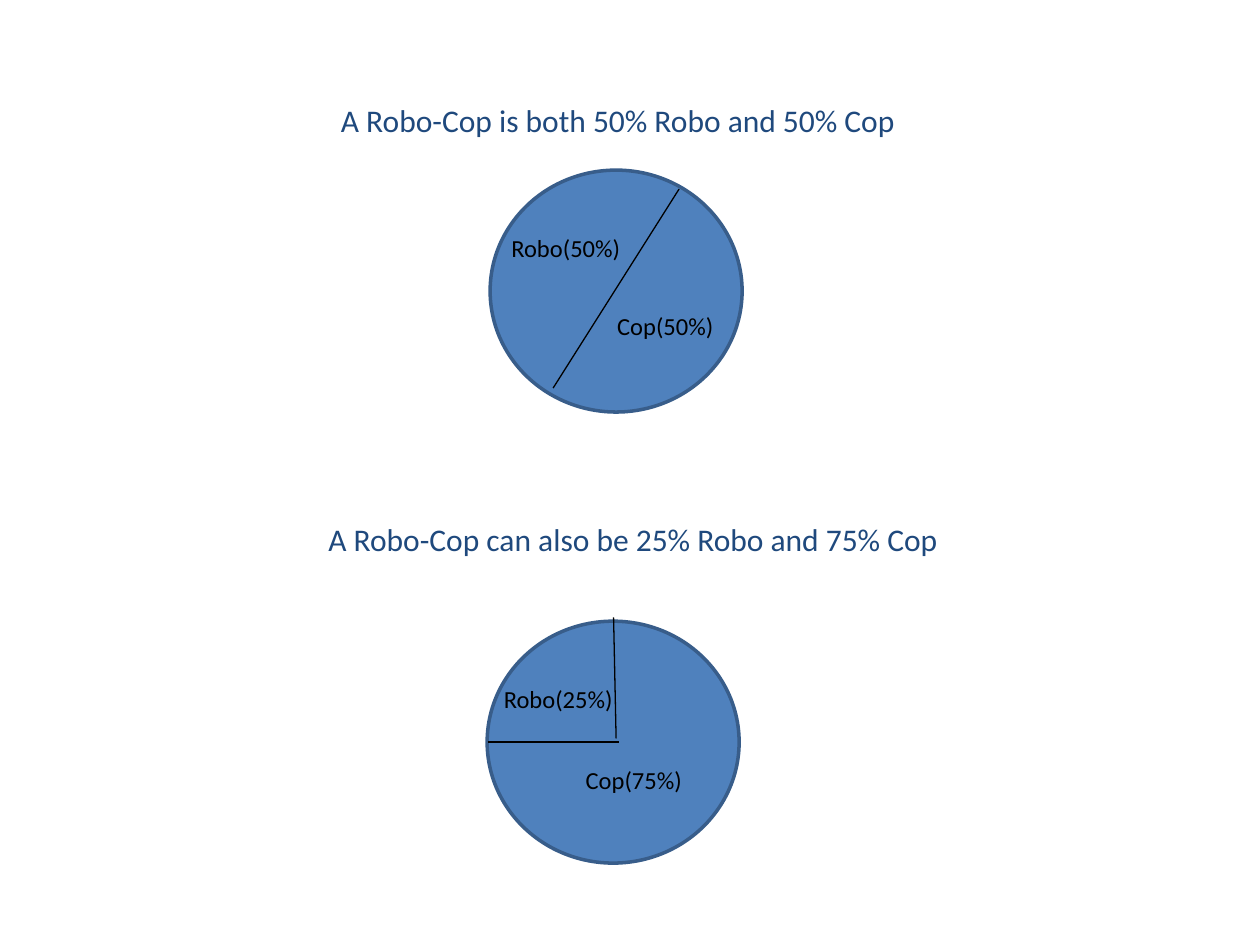
"""Build a slide showing two ways to divide a Robo-Cop into Robo and Cop."""
from dataclasses import dataclass

import pptx
import pptx.dml.color
import pptx.enum.shapes
import pptx.enum.text
import pptx.oxml.ns
import pptx.shapes.shapetree
import pptx.util
from lxml import etree

Pt = pptx.util.Pt
RGBColor = pptx.dml.color.RGBColor
Align = pptx.enum.text.PP_ALIGN

NAVY = RGBColor(0x1F, 0x49, 0x7D)
BLUE = RGBColor(0x4F, 0x81, 0xBD)
DARK_BLUE = RGBColor(0x38, 0x5D, 0x8A)
BLACK = RGBColor(0, 0, 0)
FONT = "Calibri"
PIE_WIDTH, PIE_HEIGHT = 144, 138.24
HEADING_WIDTH, HEADING_HEIGHT = 491.76, 28.8
ROBO_WIDTH, COP_WIDTH, LABEL_HEIGHT = 78, 72, 24.5


@dataclass(frozen=True)
class Label:
    text: str
    left: float
    top: float
    width: float


@dataclass(frozen=True)
class Divider:
    start: tuple[float, float]
    end: tuple[float, float]


@dataclass(frozen=True)
class Split:
    heading: str
    heading_at: tuple[float, float]
    pie_at: tuple[float, float]
    labels: tuple[Label, ...]
    dividers: tuple[Divider, ...]


SPLITS = (
    Split(
        "A Robo-Cop is both 50% Robo and 50% Cop", (107.28, 54), (280.08, 97.2),
        (Label("Robo(50%)", 285.12, 129.6, ROBO_WIDTH),
         Label("Cop(50%)", 345.6, 174.24, COP_WIDTH)),
        (Divider((388.08, 108), (316.08, 221.76)),),
    ),
    Split(
        "A Robo-Cop can also be 25% Robo and 75% Cop", (115.92, 293.76), (278.4, 354.96),
        (Label("Robo(25%)", 280.8, 387.36, ROBO_WIDTH),
         Label("Cop(75%)", 327.6, 433.44, COP_WIDTH)),
        (Divider((350.64, 352.8), (352.08, 421.92)), Divider((278.64, 424.08), (353.52, 424.08))),
    ),
)


def add_text(shapes: pptx.shapes.shapetree._BaseGroupShapes, text: str, *,
             left: float, top: float, width: float, height: float, size: float,
             color: RGBColor, align: Align = Align.LEFT, wrap: bool = False) -> None:
    box = shapes.add_textbox(Pt(left), Pt(top), Pt(width), Pt(height))
    frame = box.text_frame
    frame.word_wrap = wrap
    frame.auto_size = pptx.enum.text.MSO_AUTO_SIZE.SHAPE_TO_FIT_TEXT
    paragraph = frame.paragraphs[0]
    paragraph.alignment = align
    run = paragraph.add_run()
    run.text = text
    run.font.name = FONT
    run.font.size = Pt(size)
    run.font.color.rgb = color


def add_divider(shapes: pptx.shapes.shapetree._BaseGroupShapes, divider: Divider) -> None:
    straight = pptx.enum.shapes.MSO_CONNECTOR.STRAIGHT
    line = shapes.add_connector(straight, *map(Pt, divider.start + divider.end))
    line.line.color.rgb = BLACK
    line.line.width = Pt(0.75)
    properties = line._element.find(pptx.oxml.ns.qn("p:spPr"))
    etree.SubElement(properties, pptx.oxml.ns.qn("a:effectLst"))


def add_split(shapes: pptx.shapes.shapetree.SlideShapes, split: Split) -> None:
    heading_left, heading_top = split.heading_at
    add_text(shapes, split.heading, left=heading_left, top=heading_top,
             width=HEADING_WIDTH, height=HEADING_HEIGHT, size=18, color=NAVY,
             align=Align.CENTER, wrap=True)
    pie_group = shapes.add_group_shape().shapes
    pie = pie_group.add_shape(pptx.enum.shapes.MSO_SHAPE.OVAL, *map(Pt, split.pie_at),
                              Pt(PIE_WIDTH), Pt(PIE_HEIGHT))
    pie.shadow.inherit = False
    pie.fill.solid()
    pie.fill.fore_color.rgb = BLUE
    pie.line.color.rgb = DARK_BLUE
    pie.line.width = Pt(2)
    for divider in split.dividers:
        add_divider(pie_group, divider)
    for label in split.labels:
        add_text(pie_group, label.text, left=label.left, top=label.top,
                 width=label.width, height=LABEL_HEIGHT, size=14, color=BLACK)


def main() -> None:
    deck = pptx.Presentation()
    deck.slide_width, deck.slide_height = Pt(720), Pt(540)
    slide = deck.slides.add_slide(deck.slide_layouts[6])
    for split in SPLITS:
        add_split(slide.shapes, split)
    deck.save("out.pptx")


if __name__ == "__main__":
    main()
